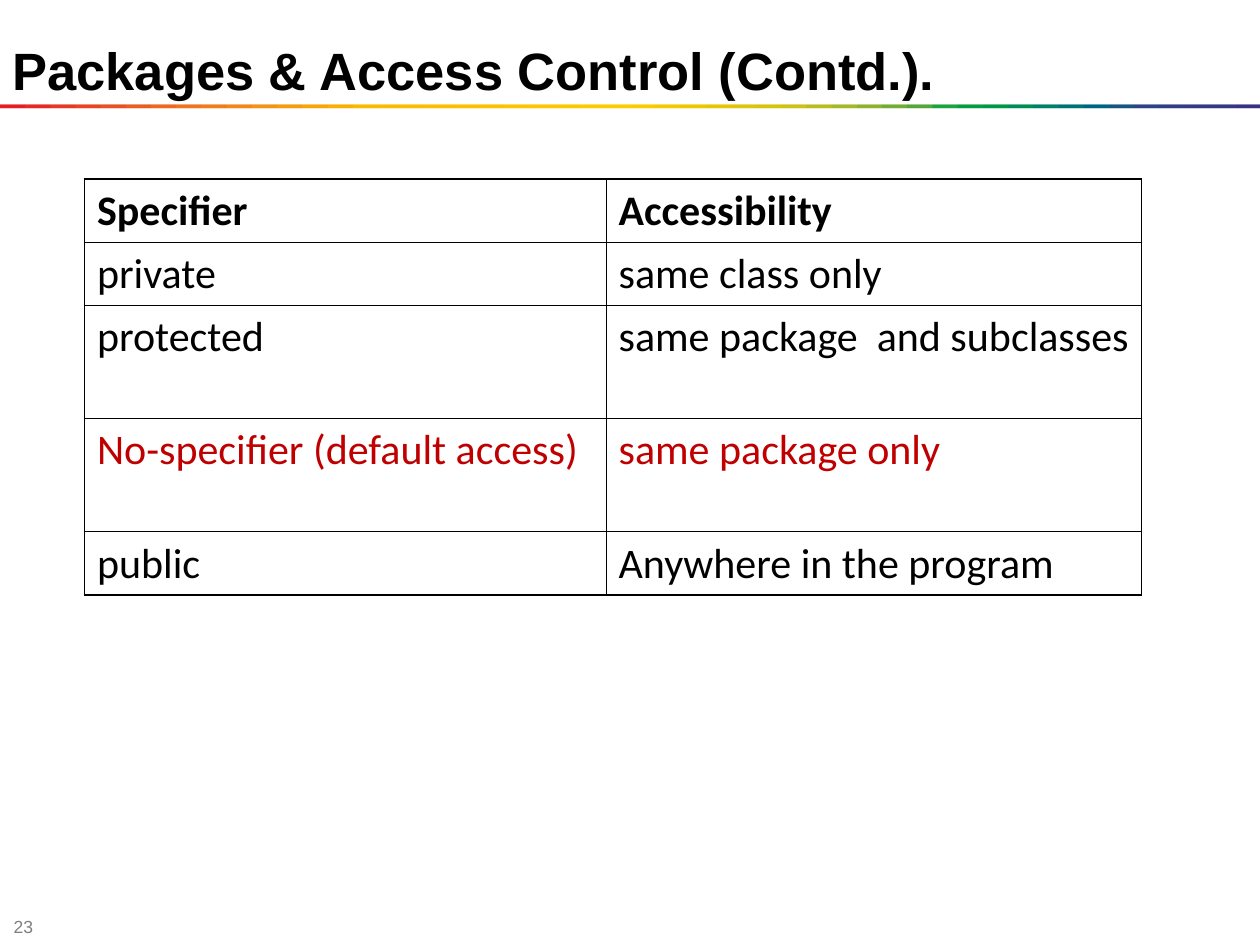
from dataclasses import dataclass

from lxml.etree import SubElement
from pptx import Presentation
from pptx.dml.color import RGBColor
from pptx.enum.shapes import MSO_SHAPE
from pptx.enum.text import MSO_ANCHOR, PP_ALIGN
from pptx.oxml.ns import qn
from pptx.util import Inches, Pt


@dataclass(frozen=True)
class Theme:
    heading_font: str = "Arial"
    table_font: str = "Calibri"
    ink: str = "000000"
    accent: str = "C00000"
    muted: str = "7F7F7F"
    title_size: int = 30
    table_size: int = 24
    number_size: int = 10
    outer_line: float = 1.08
    inner_line: float = 0.45
    spectrum: tuple = tuple(
        """E31E24 E31E24 E42C24 E53A24 E74623 E85122 EA5D21 EC691F EE741D EF7E1A
        F18817 F39314 F49C0F F6A607 F8B002 FBBA00 FBBB00 FBBD00 FCBF00 FCC000
        FCC200 FDC400 FDC600 FDC700 FEC900 FECB00 FBCB00 F3CA00 ECC800 E4C602
        DCC50A D5C30E CCC117 B8BC21 A3B829 8CB230 71AD36 51A73B 1DA240 009D43
        009846 008C57 008068 007275 00637F 185384 2E4285 313E85 333B85 353885
        393185""".split()
    )


class AccessSlide:
    """Theme and current slide; lengths are in a grid of one-inch units."""

    columns, rows = 10, 7.5

    def __init__(self, deck, theme):
        deck.slide_width, deck.slide_height = Inches(self.columns), Inches(self.rows)
        self.theme = theme
        self.slide = deck.slides.add_slide(deck.slide_layouts[6])

    def style(self, paragraph, font, size, color, bold=False):
        paragraph.font.name = font
        paragraph.font.size = Pt(size)
        paragraph.font.bold = bold
        paragraph.font.color.rgb = RGBColor.from_string(color)

    def text(self, words, area, size, color, bold=False):
        frame = self.slide.shapes.add_textbox(*map(Inches, area)).text_frame
        frame.word_wrap = True
        frame.vertical_anchor = MSO_ANCHOR.MIDDLE
        frame.text = words
        self.style(frame.paragraphs[0], self.theme.heading_font, size, color, bold)

    def rainbow_rule(self, top, height):
        """Overlapping strips, two steps wide, clipped at the slide's edges."""
        colors = self.theme.spectrum
        step = self.columns / (len(colors) - 1)
        for index, color in enumerate(colors):
            left = max(0, (index - 1) * step)
            right = min(self.columns, (index + 1) * step)
            strip = self.slide.shapes.add_shape(
                MSO_SHAPE.RECTANGLE, *map(Inches, (left, top, right - left, height))
            )
            strip.shadow.inherit = False
            strip.fill.solid()
            strip.fill.fore_color.rgb = RGBColor.from_string(color)
            strip.line.fill.background()

    def borders(self, cell, outer_sides):
        """Draw all four sides, heavier where the cell meets the table's edge."""
        properties = cell._tc.get_or_add_tcPr()
        for position, side in enumerate("LRTB"):
            width = self.theme.outer_line if side in outer_sides else self.theme.inner_line
            line = properties.makeelement(qn(f"a:ln{side}"), {"w": str(Pt(width))})
            properties.insert(position, line)
            fill = SubElement(line, qn("a:solidFill"))
            SubElement(fill, qn("a:srgbClr"), val=self.theme.ink)

    def table(self, entries, left, top, widths, heights, accent_row, justified):
        area = (left, top, sum(widths), sum(heights))
        table = self.slide.shapes.add_table(
            len(heights), len(widths), *map(Inches, area)
        ).table
        table.first_row = table.horz_banding = False
        for column, width in zip(table.columns, widths):
            column.width = Inches(width)
        for row, height in zip(table.rows, heights):
            row.height = Inches(height)
        for r, entry in enumerate(entries):
            for c, words in enumerate(entry):
                cell = table.cell(r, c)
                cell.text = words
                cell.fill.background()
                paragraph = cell.text_frame.paragraphs[0]
                paragraph.space_before = Pt(6)
                if (r, c) == justified:
                    paragraph.alignment = PP_ALIGN.JUSTIFY
                color = self.theme.accent if r == accent_row else self.theme.ink
                self.style(paragraph, self.theme.table_font, self.theme.table_size,
                           color, bold=r == 0)
                edges = {"L": c == 0, "R": c == len(widths) - 1,
                         "T": r == 0, "B": r == len(heights) - 1}
                self.borders(cell, [side for side, outer in edges.items() if outer])


def main():
    deck = Presentation()
    theme = Theme()
    page = AccessSlide(deck, theme)
    page.text("23", (0.01, 7.27, 0.39, 0.16), theme.number_size, theme.muted)
    page.rainbow_rule(top=0.83, height=0.03)
    page.table(
        [
            ("Specifier", "Accessibility"),
            ("private", "same class only"),
            ("protected", "same package  and subclasses"),
            ("No-specifier (default access)", "same package only"),
            ("public", "Anywhere in the program"),
        ],
        left=0.67, top=1.42, widths=(4.14, 4.25), heights=(0.5, 0.5, 0.9, 0.9, 0.5),
        accent_row=3, justified=(2, 1),
    )
    page.text("Packages & Access Control (Contd.).", (0, 0.25, 8.27, 0.61),
              theme.title_size, theme.ink, bold=True)
    deck.save("out.pptx")


if __name__ == "__main__":
    main()
